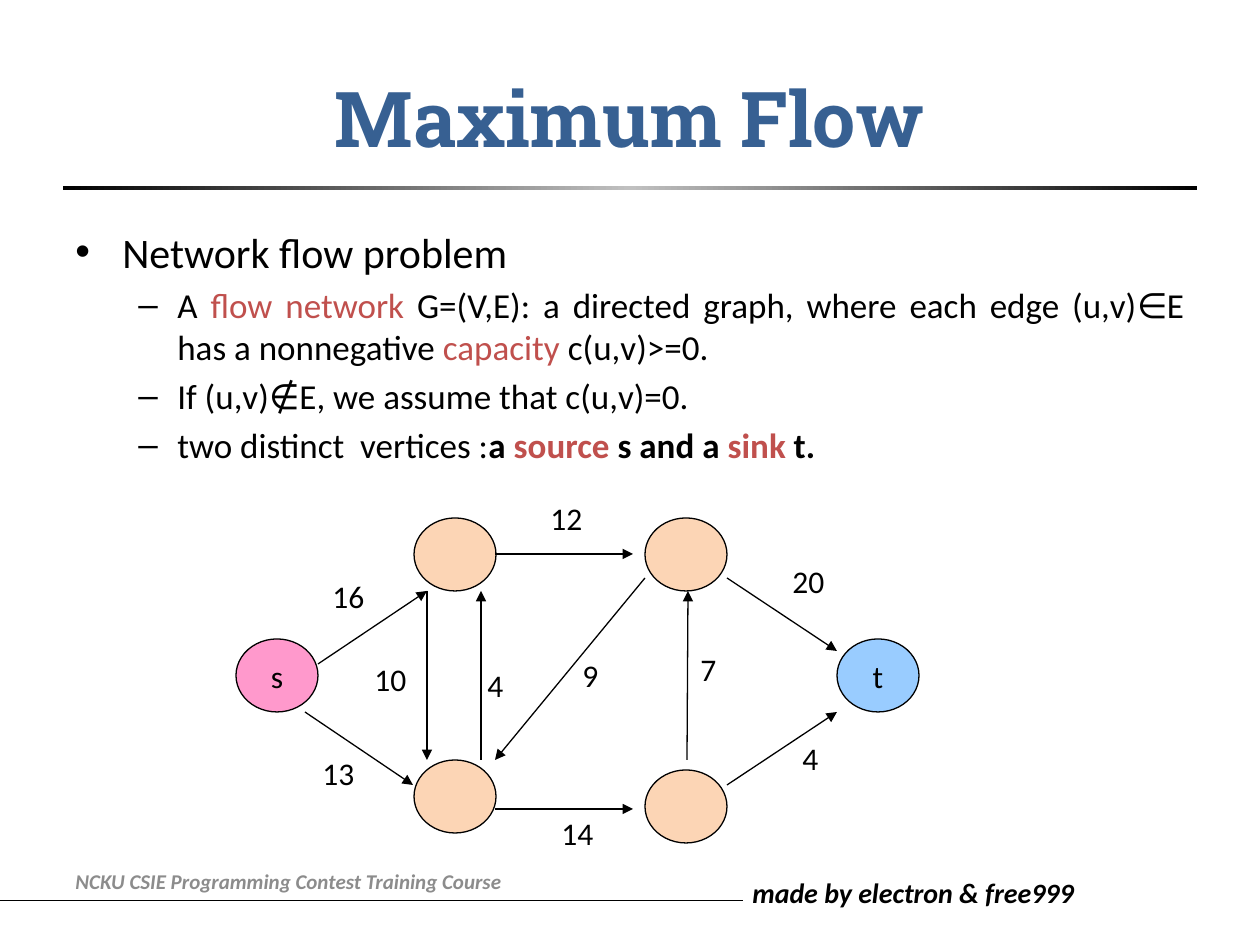
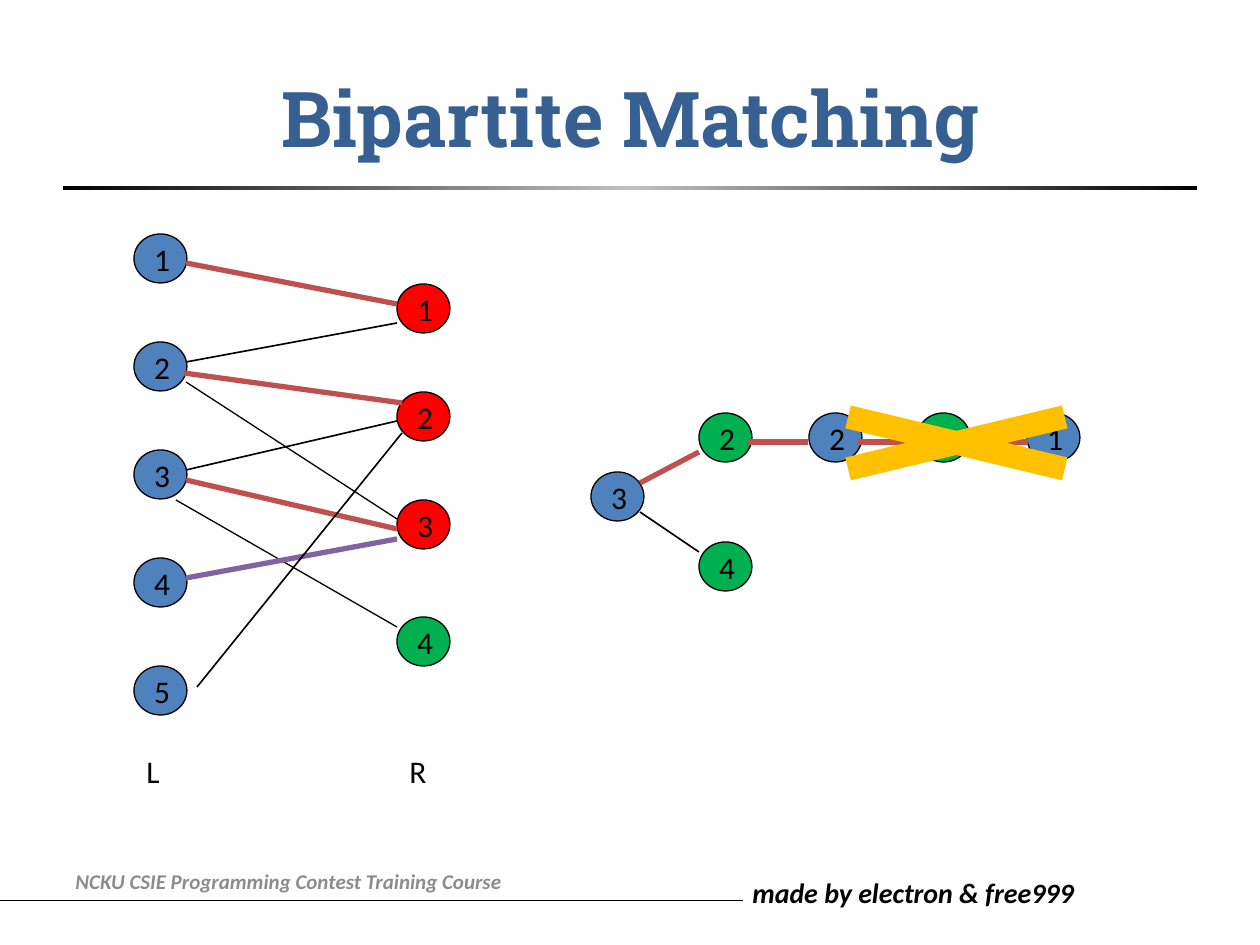
import copy

import pptx
import pptx.dml.color
import pptx.enum.shapes
import pptx.enum.text
import pptx.oxml.ns
import pptx.oxml.xmlchemy
import pptx.util
from lxml import etree

RGB = pptx.dml.color.RGBColor
SHAPE = pptx.enum.shapes.MSO_SHAPE
ANCHOR = pptx.enum.text.MSO_ANCHOR
ALIGN = pptx.enum.text.PP_ALIGN
qn = pptx.oxml.ns.qn

BLACK = RGB(0x00, 0x00, 0x00)
SILVER = RGB(0xC0, 0xC0, 0xC0)
GREY = RGB(0x8C, 0x8C, 0x8C)
NAVY = RGB(0x37, 0x60, 0x92)
BRICK = RGB(0xC0, 0x50, 0x4D)
PURPLE = RGB(0x80, 0x64, 0xA2)
PEACH = RGB(0xFC, 0xD5, 0xB5)
PINK = RGB(0xFF, 0x99, 0xCC)
SKY = RGB(0x99, 0xCC, 0xFF)
BLUE = RGB(0x4F, 0x81, 0xBD)
GREEN = RGB(0x00, 0xB0, 0x50)
RED = RGB(0xFF, 0x00, 0x00)
AMBER = RGB(0xFF, 0xC0, 0x00)

BODY_FONT, TITLE_FONT = "Calibri", "Roboto Slab"
PX_PER_INCH = 126
SLIDE_SIZE = (1260, 945)

# Shared content
COURSE = "NCKU CSIE Programming Contest Training Course"
AUTHORS = "made by electron & free999"

# Maximum flow: (level, [(text, colour, bold)])
FLOW_POINTS = [
    (0, [("Network flow problem", BLACK, False)]),
    (1, [("A ", BLACK, False), ("flow network", BRICK, False),
         (" G=(V,E): a directed graph, where each edge (u,v)∈E has a nonnegative ", BLACK, False),
         ("capacity", BRICK, False), (" c(u,v)>=0.", BLACK, False)]),
    (1, [("If (u,v)∉E, we assume that c(u,v)=0.", BLACK, False)]),
    (1, [("two distinct  vertices :", BLACK, False), ("a ", BLACK, True),
         ("source", BRICK, True), (" s and a ", BLACK, True),
         ("sink", BRICK, True), (" t.", BLACK, True)]),
]
# Per level: size pt, bullet, left margin px, hanging indent px
LEVELS = [(24, "•", 47, 47), (20, "–", 102, 39)]

FLOW_NODE = (82, 73)
FLOW_NODES = [  # label, left, top, fill
    ("s", 236, 639, PINK), ("", 414, 760, PEACH), ("", 645, 770, PEACH),
    ("t", 837, 639, SKY), ("", 645, 518, PEACH), ("", 414, 518, PEACH),
]
FLOW_EDGES = [  # start, end, capacity, capacity position
    ((318, 664), (427, 591), "16", (320, 571)),
    ((305, 712), (413, 785), "13", (310, 748)),
    ((427, 591), (427, 760), "10", (362, 654)),
    ((481, 760), (481, 591), "4", (475, 660)),
    ((495, 554), (633, 554), "12", (538, 493)),
    ((495, 809), (633, 809), "14", (549, 808)),
    ((727, 578), (837, 651), "20", (780, 556)),
    ((727, 785), (837, 712), "4", (790, 733)),
    ((687, 760), (688, 591), "7", (688, 644)),
    ((645, 578), (495, 760), "9", (570, 650)),
]

# Bipartite matching
MATCH_NODE = (53, 49)
LEFT_X, RIGHT_X = 134, 397
LEFT_TOP, LEFT_PITCH, LEFT_COUNT = 234, 108, 5
RIGHT_NODES = [("1", 284, RED), ("2", 392, RED), ("3", 500, RED), ("4", 617, GREEN)]
SIDES = [("L", LEFT_X), ("R", RIGHT_X)]
SIDE_TOP = 746
TREE_NODES = [
    ("3", 591, 472, BLUE), ("2", 699, 413, GREEN), ("4", 699, 542, GREEN),
    ("2", 809, 413, BLUE), ("1", 917, 413, GREEN), ("1", 1027, 413, BLUE),
]
MATCHED, TRIED = (BRICK, 3), (PURPLE, 3)
THIN, PLAIN = (BLACK, 0.75), (BLACK, 0.94)
MATCH_EDGES = [
    ((186, 263), (397, 304), MATCHED),
    ((186, 362), (397, 323), PLAIN),
    ((186, 382), (397, 519), THIN),
    ((186, 470), (397, 421), PLAIN),
    ((186, 480), (397, 529), MATCHED),
    ((176, 500), (397, 627), THIN),
    ((186, 578), (397, 539), TRIED),
    ((197, 687), (402, 433), PLAIN),
    ((184, 373), (402, 403), MATCHED),
    ((640, 483), (699, 452), MATCHED),
    ((640, 512), (699, 552), PLAIN),
] + [((x, 442), (x + 60, 442), MATCHED) for x in (748, 858, 968)]
CROSS = (748, 393, 417, 100)


def px(length):
    return round(length * pptx.util.Inches(1) / PX_PER_INCH)


def add_run(paragraph, text, size, color=BLACK, bold=False, italic=False, font=BODY_FONT):
    run = paragraph.add_run()
    run.text = text
    run.font.name = font
    run.font.size = pptx.util.Pt(size)
    run.font.color.rgb = color
    run.font.bold = bold
    run.font.italic = italic


def add_frame(slide, box, anchor=ANCHOR.TOP):
    frame = slide.shapes.add_textbox(*map(px, box)).text_frame
    frame.word_wrap = True
    frame.vertical_anchor = anchor
    return frame


def add_label(slide, box, text, size=18, anchor=ANCHOR.TOP, align=ALIGN.LEFT, **style):
    paragraph = add_frame(slide, box, anchor).paragraphs[0]
    paragraph.alignment = align
    add_run(paragraph, text, size, **style)


def add_filled(slide, kind, box, fill):
    shape = slide.shapes.add_shape(kind, *map(px, box))
    shape.shadow.inherit = False
    shape.line.fill.background()
    if fill is not None:
        shape.fill.solid()
        shape.fill.fore_color.rgb = fill
    return shape


def add_node(slide, label, left, top, size, fill, align):
    node = add_filled(slide, SHAPE.OVAL, (left, top, *size), fill)
    node.line.color.rgb = BLACK
    node.line.width = pptx.util.Pt(0.75)
    if label:
        node.text_frame.word_wrap = False
        node.text_frame.vertical_anchor = ANCHOR.MIDDLE
        paragraph = node.text_frame.paragraphs[0]
        paragraph.alignment = align
        add_run(paragraph, label, 18)


def add_edge(slide, start, end, color=BLACK, width=0.75, arrow=False):
    edge = slide.shapes.add_connector(
        pptx.enum.shapes.MSO_CONNECTOR.STRAIGHT, *map(px, start + end))
    edge.line.color.rgb = color
    edge.line.width = pptx.util.Pt(width)
    properties = edge.element.spPr
    if arrow:
        etree.SubElement(properties.find(qn("a:ln")), qn("a:tailEnd"), type="triangle")
    etree.SubElement(properties, qn("a:effectLst"))


def add_title_rule(slide):
    rule = add_filled(slide, SHAPE.RECTANGLE, (63, 186, 1134, 4), None)
    rule.fill.gradient()
    rule.fill.gradient_angle = 0
    stop_list = rule.element.spPr.find(qn("a:gradFill")).find(qn("a:gsLst"))
    stop_list.append(copy.deepcopy(stop_list[-1]))
    for stop, color, position in zip(rule.fill.gradient_stops,
                                     (BLACK, SILVER, BLACK), (0, 0.5, 1)):
        stop.color.rgb = color
        stop.position = position


def add_base_slide(deck, title):
    slide = deck.slides.add_slide(deck.slide_layouts[6])
    add_edge(slide, (-44, 900), (743, 900), width=0.5)
    add_label(slide, (740, 869, 373, 47), AUTHORS, 16, bold=True, italic=True)
    add_title_rule(slide)
    add_label(slide, (63, 38, 1134, 157), title, 44, ANCHOR.MIDDLE, ALIGN.CENTER,
              color=NAVY, bold=True, font=TITLE_FONT)
    add_label(slide, (63, 856, 587, 50), COURSE, 12, ANCHOR.MIDDLE,
              color=GREY, bold=True, italic=True)
    return slide


def add_points(slide, box, points):
    frame = add_frame(slide, box)
    for index, (level, runs) in enumerate(points):
        size, bullet, margin, hanging = LEVELS[level]
        paragraph = frame.add_paragraph() if index else frame.paragraphs[0]
        properties = paragraph._p.get_or_add_pPr()
        properties.set("marL", str(px(margin)))
        properties.set("indent", str(-px(hanging)))
        etree.SubElement(properties, qn("a:buFont"), typeface="Arial")
        etree.SubElement(properties, qn("a:buChar"), char=bullet)
        paragraph.level = level
        paragraph.alignment = ALIGN.JUSTIFY
        if index:
            paragraph.space_before = pptx.util.Pt(size * 0.2)
        for text, color, bold in runs:
            add_run(paragraph, text, size, color, bold)


def build_flow(deck):
    slide = add_base_slide(deck, "Maximum Flow")
    add_points(slide, (63, 220, 1134, 626), FLOW_POINTS)
    for label, left, top, fill in FLOW_NODES:
        add_node(slide, label, left, top, FLOW_NODE, fill, ALIGN.CENTER)
    for start, end, capacity, position in FLOW_EDGES:
        add_edge(slide, start, end, arrow=True)
        add_label(slide, (*position, 27 + 20 * len(capacity), 63), capacity)


def build_matching(deck):
    slide = add_base_slide(deck, "Bipartite Matching")
    left_nodes = [(str(i + 1), LEFT_X, LEFT_TOP + i * LEFT_PITCH, BLUE)
                  for i in range(LEFT_COUNT)]
    right_nodes = [(label, RIGHT_X, top, fill) for label, top, fill in RIGHT_NODES]
    for label, left, top, fill in left_nodes + right_nodes + TREE_NODES:
        add_node(slide, label, left, top, MATCH_NODE, fill, ALIGN.LEFT)
    for start, end, (color, width) in MATCH_EDGES:
        add_edge(slide, start, end, color, width)
    for side, left in SIDES:
        add_label(slide, (left, SIDE_TOP, 53, 59), side)
    # Branch ruled out
    add_filled(slide, SHAPE.MATH_MULTIPLY, CROSS, AMBER)


def main():
    deck = pptx.Presentation()
    deck.slide_width, deck.slide_height = map(px, SLIDE_SIZE)
    build_flow(deck)
    build_matching(deck)
    deck.save("out.pptx")


if __name__ == "__main__":
    main()
